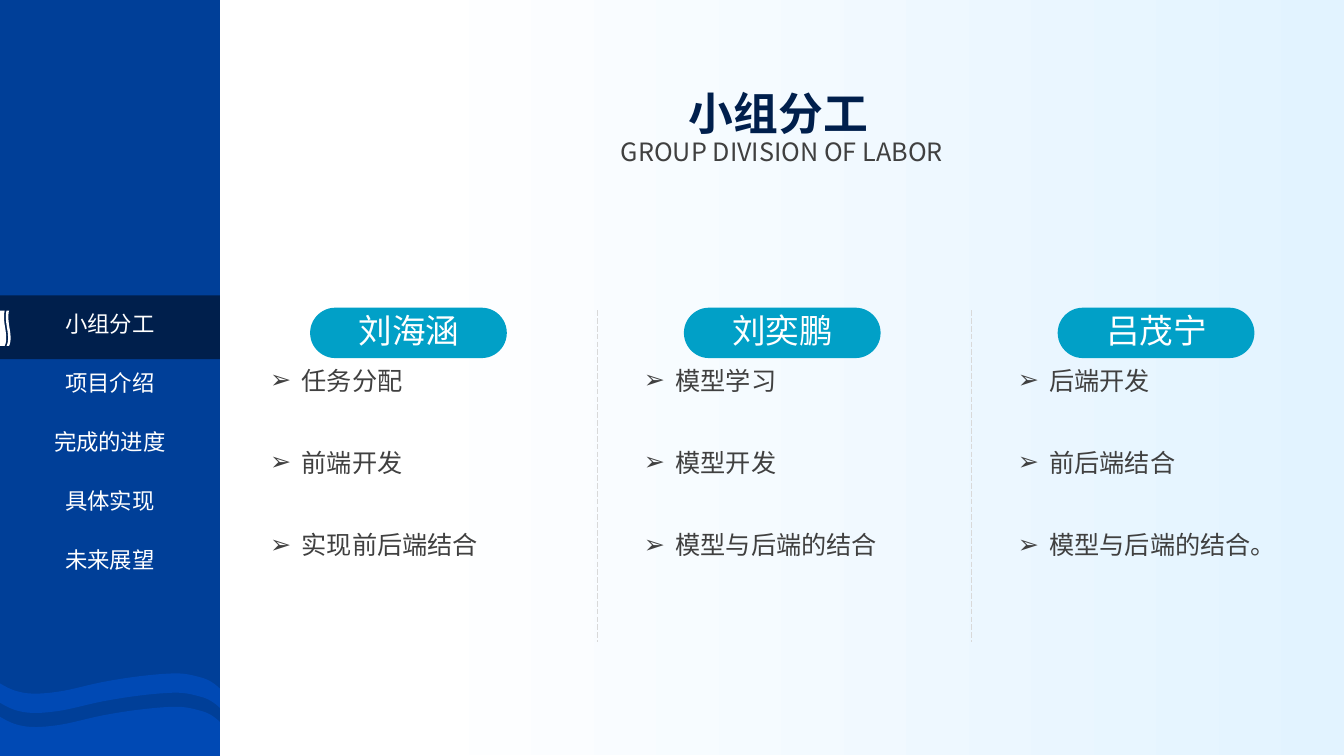
from lxml.etree import SubElement
from pptx import Presentation
from pptx.dml.color import RGBColor
from pptx.enum.dml import MSO_LINE
from pptx.enum.shapes import MSO_CONNECTOR, MSO_SHAPE
from pptx.enum.text import MSO_ANCHOR, PP_ALIGN
from pptx.oxml.ns import qn
from pptx.util import Pt

WHITE, NAVY, BLUE, WATER, TEAL, GREY = "FFFFFF", "001F4C", "003F98", "0049B4", "01A0C7", "404040"
NOTO = "Noto Sans CJK SC"
MENU = ["小组分工", "项目介绍", "完成的进度", "具体实现", "未来展望"]
TEAM = {
    "刘海涵": ["任务分配", "前端开发", "实现前后端结合"],
    "刘奕鹏": ["模型学习", "模型开发", "模型与后端的结合"],
    "吕茂宁": ["后端开发", "前后端结合", "模型与后端的结合。"],
}
WAVE = [(0, 0), (6, 3.5), (9.5, 5), (13.7, 6), (21.6, 8), (30, 7.5), (41, 6),
        (52, 4.5), (64, 0.5), (77.8, -1.8), (91, -4.3), (109, -6.5), (120.2, -7),
        (131, -7.8), (137, -6), (142.6, -4.5), (148.5, -3), (152, -1), (157, 3.6)]
RIPPLE = [(3.4, 0), (2.6, 3), (2.8, 7), (3.7, 12.3), (4.4, 16), (5.2, 22), (3.4, 25.2)]


def tint(code):
    return RGBColor.from_string(code)


def bend(curve, dx, dy, steps=8):
    spots = [curve[0]]
    for i in range(0, len(curve) - 1, 3):
        for k in range(1, steps + 1):
            t = k / steps
            rates = ((1 - t) ** 3, 3 * t * (1 - t) ** 2, 3 * t * t * (1 - t), t ** 3)
            spots.append(tuple(sum(r * p[a] for r, p in zip(rates, curve[i:i + 4]))
                               for a in (0, 1)))
    return [(x + dx, y + dy) for x, y in spots]


class Deck:
    """Holds the style and the current slide, and draws each kind of element."""

    def __init__(self):
        self.show = Presentation()
        self.show.slide_width, self.show.slide_height = Pt(960), Pt(540)
        self.slide = self.show.slides.add_slide(self.show.slide_layouts[5])
        self.shapes = self.slide.shapes

    def paint(self, shape, color):
        shape.shadow.inherit = False
        shape.line.fill.background()
        shape.fill.solid()
        shape.fill.fore_color.rgb = tint(color)
        return shape

    def block(self, x, y, w, h, color, kind=MSO_SHAPE.RECTANGLE):
        return self.paint(self.shapes.add_shape(kind, Pt(x), Pt(y), Pt(w), Pt(h)), color)

    def fade(self, x, y, w, h, *colors):
        fill = self.block(x, y, w, h, WHITE).fill
        fill.gradient()
        fill.gradient_angle = 0
        for stop, color in zip(fill.gradient_stops, colors):
            stop.color.rgb = tint(color)

    def pill(self, x, y, w, h, color):
        self.block(x, y, w, h, color, MSO_SHAPE.ROUNDED_RECTANGLE).adjustments[0] = 0.5

    def form(self, spots, color):
        first, *rest = [(Pt(x), Pt(y)) for x, y in spots]
        pen = self.shapes.build_freeform(*first, scale=1.0)
        pen.add_line_segments(rest, close=True)
        self.paint(pen.convert_to_shape(), color)

    def rule(self, x, top, end, color):
        line = self.shapes.add_connector(MSO_CONNECTOR.STRAIGHT, Pt(x), Pt(top), Pt(x), Pt(end))
        line.line.color.rgb = tint(color)
        line.line.width = Pt(0.5)
        line.line.dash_style = MSO_LINE.LONG_DASH
        SubElement(line._element.spPr, qn("a:effectLst"))

    def fit(self, frame, lines, size, color, face=NOTO, bold=False, lead=0.9,
            align=PP_ALIGN.CENTER, mark=None, gap=0):
        frame.word_wrap = True
        frame.margin_left = frame.margin_right = frame.margin_top = frame.margin_bottom = 0
        for i, text in enumerate(lines):
            para = frame.add_paragraph() if i else frame.paragraphs[0]
            para.text = text
            para.alignment = align
            para.line_spacing = lead
            para.space_before = Pt(gap if i else 0)
            props = para._p.get_or_add_pPr()
            if mark:
                props.set("marL", str(Pt(22.5)))
                props.set("indent", str(Pt(-22.5)))
                SubElement(props, qn("a:buFont"), typeface="Arial")
                SubElement(props, qn("a:buChar"), char=mark)
            font = para.font
            font.size, font.bold, font.name = Pt(size), bold, face
            font.color.rgb = tint(color)
            SubElement(props.find(qn("a:defRPr")), qn("a:ea"), typeface=NOTO)

    def text(self, x, y, w, h, lines, size, color, **style):
        box = self.shapes.add_textbox(Pt(x), Pt(y), Pt(w), Pt(h))
        self.fit(box.text_frame, lines, size, color, **style)

    def title(self, x, y, w, h, text, size, color):
        head = self.shapes.title
        head.left, head.top, head.width, head.height = Pt(x), Pt(y), Pt(w), Pt(h)
        head.text_frame.vertical_anchor = MSO_ANCHOR.MIDDLE
        self.fit(head.text_frame, [text], size, color, bold=True)
        self.shapes._spTree.append(head._element)


def main():
    deck = Deck()
    deck.fade(290, 0, 670, 539.5, WHITE, "E2F3FF")
    deck.block(0, 0, 157, 540, BLUE)
    deck.form(bend(WAVE, 0, 512) + [(157, 540), (0, 540)], WATER)
    deck.form(bend(WAVE, 0, 488.2) + bend(WAVE, 0, 502)[::-1], WATER)

    deck.block(0, 211, 157, 45.5, NAVY)
    deck.form(bend(RIPPLE, 0, 221.8) + [(0, 247), (0, 221.8)], WHITE)
    deck.form(bend(RIPPLE, 3.1, 221.8) + bend(RIPPLE, 1.3, 221.8)[::-1], WHITE)
    for i, label in enumerate(MENU):
        deck.text(6.5, 223.4 + 42.2 * i, 144, 23.8, [label], 16, WHITE, face="Arial")

    deck.title(282, 60, 548, 46, MENU[0], 32, NAVY)
    deck.text(186, 103, 745, 40, ["GROUP DIVISION OF LABOR"], 18, GREY, lead=0.7)

    for i, (name, tasks) in enumerate(TEAM.items()):
        left = 193 + 267 * i
        deck.pill(left + 28.5, 219.8, 140.5, 36, TEAL)
        deck.text(left + 13.5, 224.8, 171, 34, [name], 24, WHITE)
        deck.text(left, 252, 197, 206, tasks, 18, GREY, lead=1.4,
                  align=PP_ALIGN.JUSTIFY, mark="➢", gap=28.5)
        if i:
            deck.rule(left - 33.5, 221.5, 458.5, "D9D9D9")
    deck.show.save("out.pptx")


if __name__ == "__main__":
    main()
